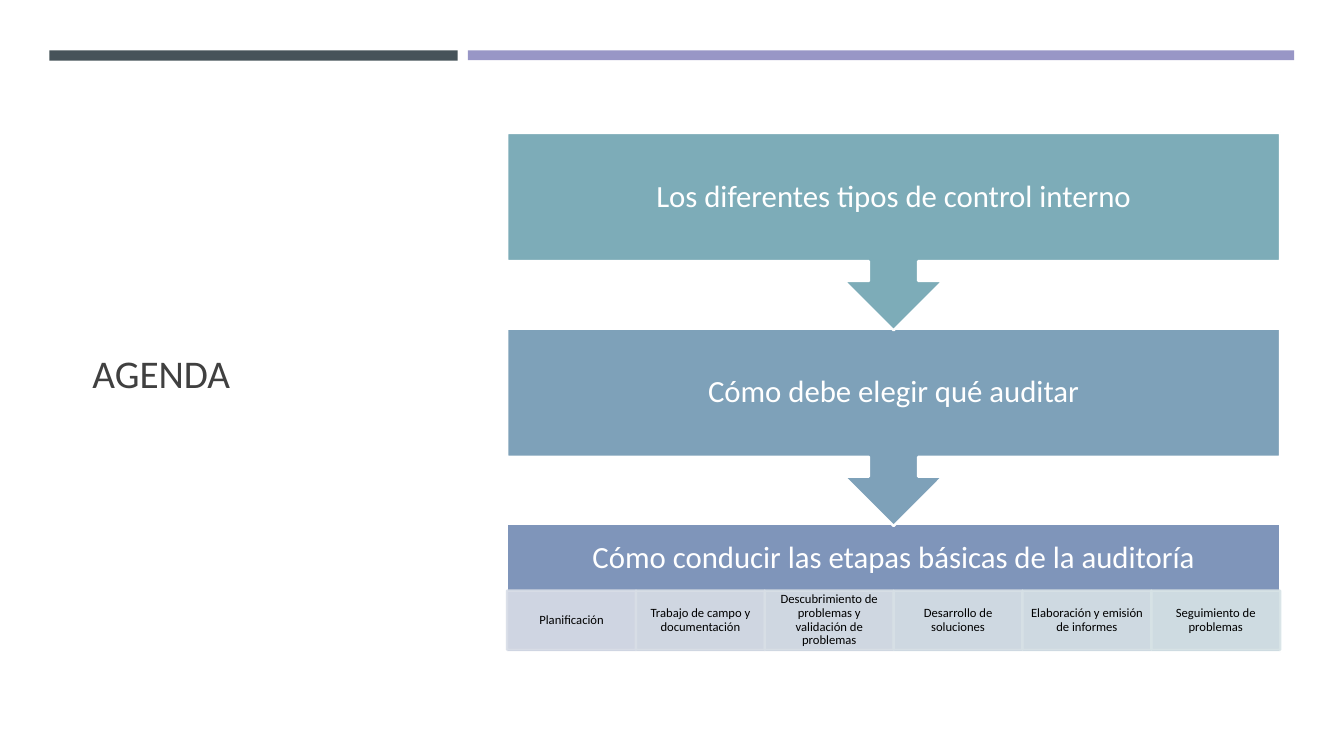
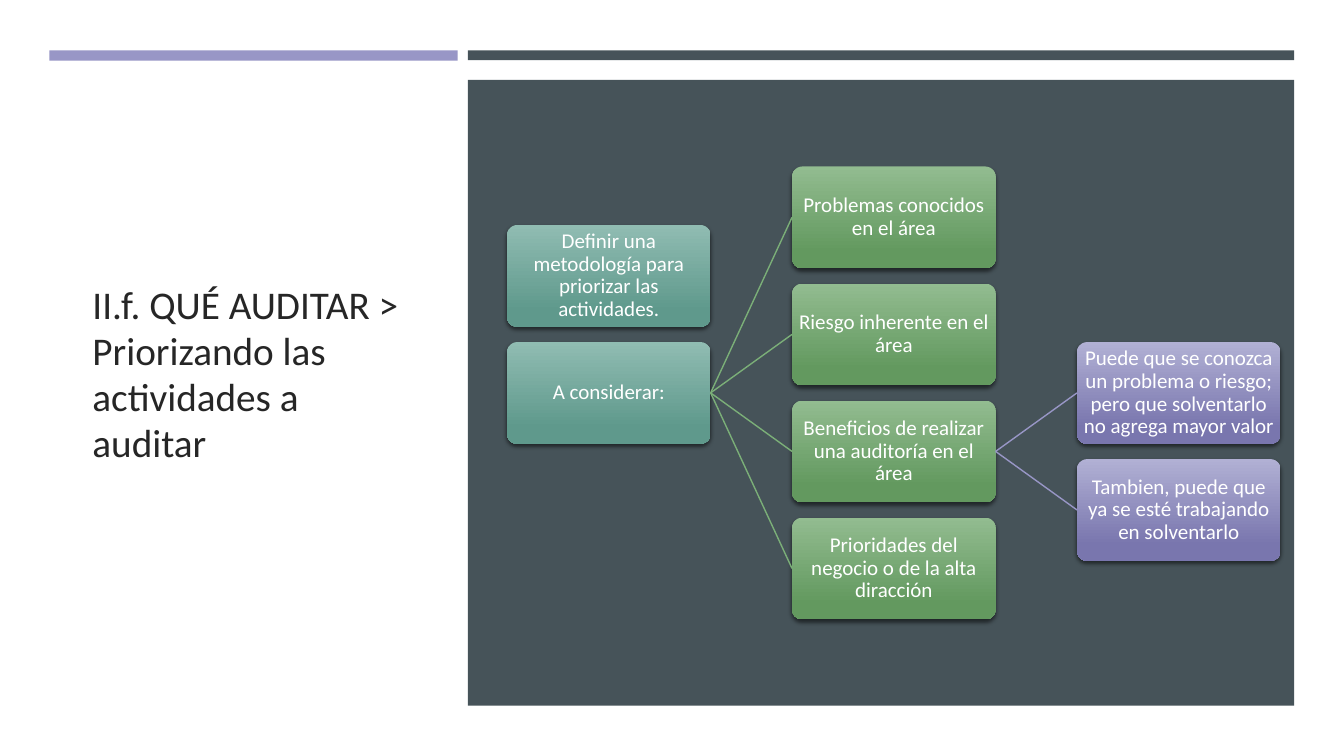
import dataclasses

import lxml.etree
import pptx
import pptx.dml.color
import pptx.enum.dml
import pptx.enum.shapes
import pptx.enum.text
import pptx.oxml.ns
import pptx.util

Pt = pptx.util.Pt
RGB = pptx.dml.color.RGBColor.from_string
SHAPE = pptx.enum.shapes.MSO_SHAPE
ALIGN = pptx.enum.text.PP_ALIGN
qn = pptx.oxml.ns.qn


@dataclasses.dataclass(frozen=True)
class Theme:
    font: str = "Calibri"
    white: str = "FFFFFF"
    black: str = "000000"
    slate: str = "465359"
    lilac: str = "9896C6"
    title_gray: str = "404040"
    title_dark: str = "262626"
    agenda: tuple = ("7DACB8", "7EA1B9", "7F95BA")
    steps: tuple = ("D8DDE7", "D8DEE6", "D8DFE6", "D7E0E6", "D7E1E6", "D7E3E6")
    teal: tuple = ("90BCB2", "5F998C")
    green: tuple = ("92BC90", "63995F")
    violet: tuple = ("B1B0D4", "7976AE")
    green_line: str = "7BAF78"
    title_size: float = 28
    agenda_size: float = 22
    node_size: float = 15
    step_size: float = 9
    outline: float = 1.75


THEME = Theme()

LEFT_BAR = (35.3, 36, 291.6, 7.4)
RIGHT_BAR = (334.2, 36, 590.2, 7)
PANEL = (334.2, 57, 590.2, 447)
TITLE = (59, 82, 240.5, 371)

CONTENT_LEFT = 362.2
CONTENT_WIDTH = 552.2
AGENDA_TOP = 95
AGENDA_PITCH = 139.7
STAGE_HEIGHT = 91.4
CALLOUT_HEIGHT = 141
STEP_OFFSET = 47.5
STEP_HEIGHT = 42.3

NODE_WIDTH = 145.4
NODE_HEIGHT = 72.7
NODE_TOP = 118.9
COLUMN_PITCH = NODE_WIDTH * 1.4
HALF_ROW = NODE_HEIGHT * 1.15 / 2

AGENDA_ITEMS = (
    "Los diferentes tipos de control interno",
    "Cómo debe elegir qué auditar",
    "Cómo conducir las etapas básicas de la auditoría",
)
STEPS = (
    "Planificación",
    "Trabajo de campo y documentación",
    "Descubrimiento de problemas y validación de problemas",
    "Desarrollo de soluciones",
    "Elaboración y emisión de informes",
    "Seguimiento de problemas",
)
NODES = {
    "method": (0, 1, "Definir una metodología para priorizar las actividades."),
    "consider": (0, 3, "A considerar:"),
    "issues": (1, 0, "Problemas conocidos en el área"),
    "risk": (1, 2, "Riesgo inherente en el área"),
    "benefits": (1, 4, "Beneficios de realizar una auditoría en el área"),
    "priorities": (1, 6, "Prioridades del negocio o de la alta diracción"),
    "low_value": (
        2, 3, "Puede que se conozca un problema o riesgo; "
        "pero que solventarlo no agrega mayor valor"),
    "in_progress": (2, 5, "Tambien, puede que ya se esté trabajando en solventarlo"),
}
BRANCHES = {
    "consider": (THEME.green_line, ("issues", "risk", "benefits", "priorities")),
    "benefits": (THEME.lilac, ("low_value", "in_progress")),
}


def write_text(box, text, size, color, insets, align=ALIGN.CENTER, spacing=0.9):
    frame = box.text_frame
    frame.text = text
    frame.word_wrap = True
    frame.vertical_anchor = pptx.enum.text.MSO_ANCHOR.MIDDLE
    (frame.margin_left, frame.margin_top,
     frame.margin_right, frame.margin_bottom) = map(Pt, insets)
    para = frame.paragraphs[0]
    para.alignment = align
    para.line_spacing = spacing
    font = para.runs[0].font
    font.name = THEME.font
    font.size = Pt(size)
    font.color.rgb = RGB(color)


def add_block(page, kind, frame, fill=None, line=None):
    box = page.shapes.add_shape(kind, *map(Pt, frame))
    box.shadow.inherit = False
    if fill:
        box.fill.solid()
        box.fill.fore_color.rgb = RGB(fill)
    if line:
        box.line.color.rgb = RGB(line)
        box.line.width = Pt(THEME.outline)
    else:
        box.line.fill.background()
    return box


def set_opacity(box, percent):
    for color in box.element.spPr.iter(qn("a:srgbClr")):
        lxml.etree.SubElement(color, qn("a:alpha"), val=str(percent * 1000))


def add_drop_shadow(box):
    effects = box.element.spPr.find(qn("a:effectLst"))
    shadow = lxml.etree.SubElement(
        effects, qn("a:outerShdw"), blurRad=str(Pt(3)), dist=str(Pt(2)),
        dir="5400000", algn="ctr", rotWithShape="0")
    color = lxml.etree.SubElement(shadow, qn("a:srgbClr"), val=THEME.black)
    lxml.etree.SubElement(color, qn("a:alpha"), val="55000")


def add_page(deck, title, title_color, left_color, right_color):
    page = deck.slides.add_slide(deck.slide_layouts[6])
    add_block(page, SHAPE.RECTANGLE, LEFT_BAR, left_color)
    add_block(page, SHAPE.RECTANGLE, RIGHT_BAR, right_color)
    box = page.shapes.add_textbox(*map(Pt, TITLE))
    write_text(box, title, THEME.title_size, title_color,
               (7.2, 3.6, 7.2, 3.6), ALIGN.LEFT, 0.98)
    return page


def add_agenda_item(page, index):
    is_last = index == len(AGENDA_ITEMS) - 1
    kind = SHAPE.RECTANGLE if is_last else SHAPE.DOWN_ARROW_CALLOUT
    height = STAGE_HEIGHT if is_last else CALLOUT_HEIGHT
    top = AGENDA_TOP + index * AGENDA_PITCH
    box = add_block(page, kind, (CONTENT_LEFT, top, CONTENT_WIDTH, height),
                    THEME.agenda[index], THEME.white)
    bottom = 54 if is_last else 12
    write_text(box, AGENDA_ITEMS[index], THEME.agenda_size, THEME.white,
               (12, 12, 12, bottom))


def add_steps(page):
    width = CONTENT_WIDTH / len(STEPS)
    top = AGENDA_TOP + 2 * AGENDA_PITCH + STEP_OFFSET
    for index, (text, color) in enumerate(zip(STEPS, THEME.steps)):
        frame = (CONTENT_LEFT + index * width, top, width, STEP_HEIGHT)
        box = add_block(page, SHAPE.RECTANGLE, frame, color, color)
        set_opacity(box, 90)
        write_text(box, text, THEME.step_size, THEME.black, (5, 0.8, 5, 0.8))


def add_node(page, column, row, text):
    frame = (CONTENT_LEFT + column * COLUMN_PITCH, NODE_TOP + row * HALF_ROW,
             NODE_WIDTH, NODE_HEIGHT)
    box = add_block(page, SHAPE.ROUNDED_RECTANGLE, frame)
    box.adjustments[0] = 0.1
    box.fill.gradient()
    box.fill.gradient_angle = 270
    colors = (THEME.teal, THEME.green, THEME.violet)[column]
    for stop, color, position in zip(box.fill.gradient_stops, colors, (0, 0.84)):
        stop.color.rgb = RGB(color)
        stop.position = position
    add_drop_shadow(box)
    write_text(box, text, THEME.node_size, THEME.white, (0.8,) * 4)
    return box


def add_branch(page, parent, child, color):
    line = page.shapes.add_connector(
        pptx.enum.shapes.MSO_CONNECTOR.STRAIGHT, 0, 0, 0, 0)
    line.begin_connect(parent, 3)
    line.end_connect(child, 1)
    line.line.color.rgb = RGB(color)
    line.line.width = Pt(1)
    lxml.etree.SubElement(line.element.spPr, qn("a:effectLst"))


def build_agenda(deck):
    page = add_page(deck, "AGENDA", THEME.title_gray, THEME.slate, THEME.lilac)
    for index in reversed(range(len(AGENDA_ITEMS))):
        add_agenda_item(page, index)
    add_steps(page)


def build_priorities(deck):
    page = add_page(
        deck, "II.f. QUÉ AUDITAR > Priorizando las actividades a auditar",
        THEME.title_dark, THEME.lilac, THEME.slate)
    add_block(page, SHAPE.RECTANGLE, PANEL, THEME.slate)
    boxes = {name: add_node(page, *node) for name, node in NODES.items()}
    for parent, (color, children) in BRANCHES.items():
        for child in children:
            add_branch(page, boxes[parent], boxes[child], color)


def main():
    deck = pptx.Presentation()
    deck.slide_width = Pt(960)
    deck.slide_height = Pt(540)
    build_agenda(deck)
    build_priorities(deck)
    deck.save("out.pptx")


if __name__ == "__main__":
    main()
